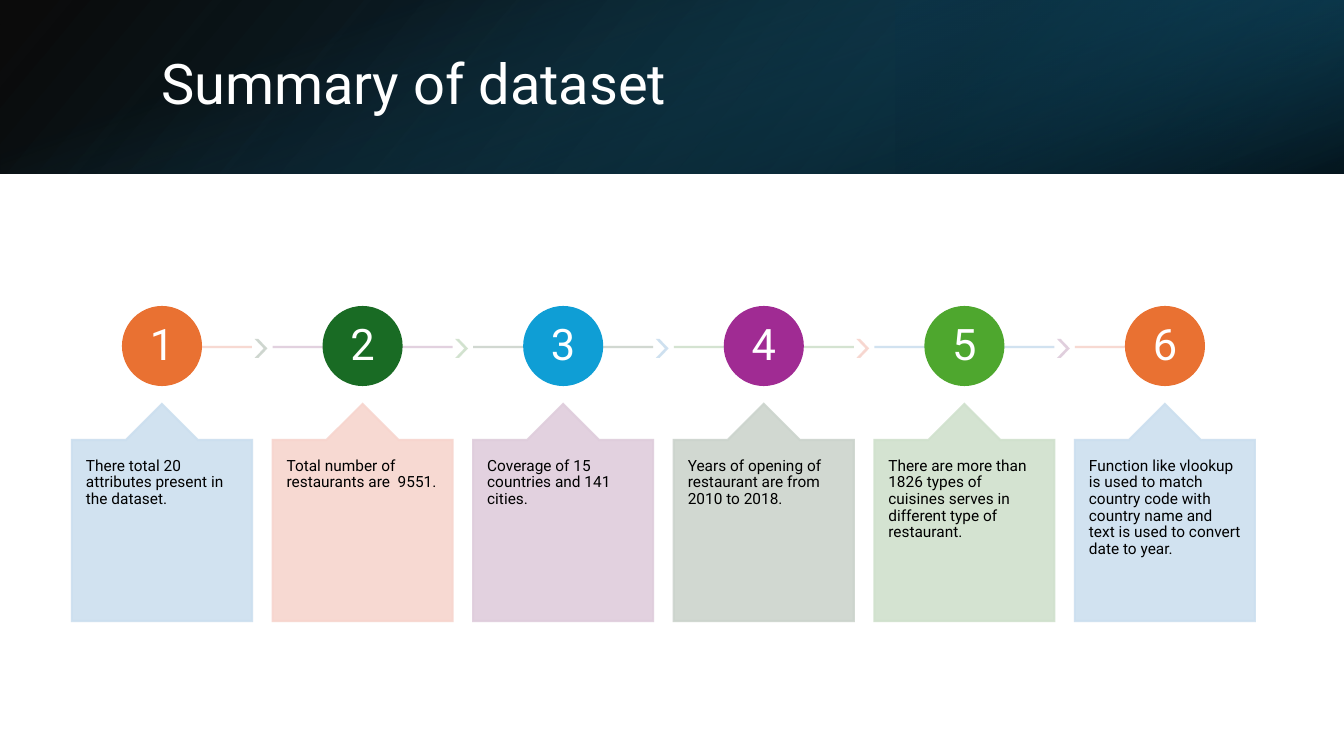
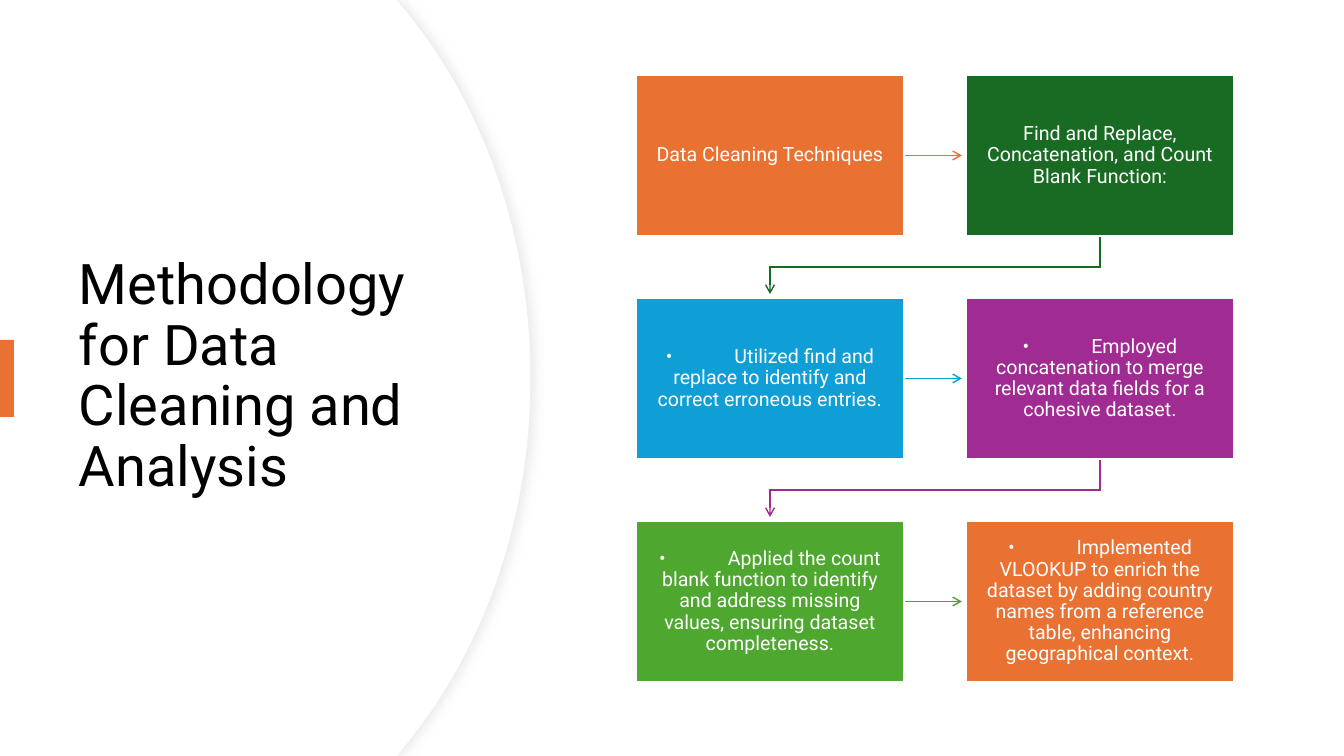
"""Build a two-slide deck: dataset summary and cleaning method."""
from itertools import cycle
from lxml import etree
from pptx import Presentation
from pptx.dml.color import RGBColor
from pptx.enum.shapes import MSO_CONNECTOR, MSO_SHAPE
from pptx.enum.text import MSO_ANCHOR, PP_ALIGN
from pptx.oxml.ns import qn
from pptx.util import Emu, Pt

RECT, OVAL = MSO_SHAPE.RECTANGLE, MSO_SHAPE.OVAL
CHEVRON, CALLOUT = MSO_SHAPE.CHEVRON, MSO_SHAPE.UP_ARROW_CALLOUT
LEFT, CENTER = PP_ALIGN.LEFT, PP_ALIGN.CENTER
TOP, MIDDLE = MSO_ANCHOR.TOP, MSO_ANCHOR.MIDDLE
STRAIGHT = MSO_CONNECTOR.STRAIGHT

WIDE, HIGH = 1344, 756
SCALE = 12192000 / WIDE
FONT = "Roboto"
TAB = Pt(49)
COLORS = {
    "white": "FFFFFF", "black": "000000", "navy": "104862",
    "deep": "0B3041", "teal": "156082", "edge": "EFEFEF", "shade": "D9D9D9",
    "orange": "E97132", "forest": "196B24", "sky": "0F9ED5",
    "plum": "A02B93", "leaf": "4EA72E",
    "pink": "F7D5CE", "mauve": "DFCDDC", "gray": "CCD4CD",
    "mint": "D0E1CD", "ice": "CCDFEF",
}
BRIGHT = ["orange", "forest", "sky", "plum", "leaf"]
TINTS = ["pink", "mauve", "gray", "mint", "ice"]

TITLES = ["Summary of dataset", "Methodology for Data Cleaning and Analysis"]
FACTS = [
    "There total 20 attributes present in the dataset.",
    "Total number of restaurants are  9551.",
    "Coverage of 15 countries and 141 cities.",
    "Years of opening of restaurant are from 2010 to 2018.",
    "There are more than 1826 types of cuisines serves in different type of restaurant.",
    "Function like vlookup is used to match country code with country name "
    "and text is used to convert date to year.",
]
STEPS = [
    "Data Cleaning Techniques",
    "Find and Replace, Concatenation, and Count Blank Function:",
    "•\tUtilized find and replace to identify and correct erroneous entries.",
    "•\tEmployed concatenation to merge relevant data fields for a cohesive dataset.",
    "•\tApplied the count blank function to identify and address missing values, "
    "ensuring dataset completeness.",
    "•\tImplemented VLOOKUP to enrich the dataset by adding country names from a "
    "reference table, enhancing geographical context.",
]
BAND = [
    {"box": (0, 0, 1344, 174), "turn": 0, "flip": True, "angle": 140,
     "stops": [(0, "black", 96), (1, "navy", 100)]},
    {"box": (896, 0, 448, 174), "turn": 180, "flip": True, "angle": 320,
     "stops": [(0.19, "deep", 68), (1, "teal", 79)]},
    {"box": (585, -585, 174, 1344), "turn": 90, "flip": False, "angle": 340,
     "stops": [(0.23, "teal", 0), (0.99, "black", 74)]},
]


def px(value):
    return Emu(round(value * SCALE))


def rgb(name):
    return RGBColor.from_string(COLORS[name])


def fade(shape, levels):
    tags = shape._element.spPr.iter(qn("a:srgbClr"))
    for tag, level in zip(list(tags), levels):
        etree.SubElement(tag, qn("a:alpha")).set("val", str(level * 1000))


def extend(shape, name, **values):
    line = shape._element.spPr.find(qn("a:ln"))
    etree.SubElement(line, qn(name), **values)


def paint(shape, fill=None, line=None, width=1.5):
    shape.shadow.inherit = False
    if fill:
        shape.fill.solid()
        shape.fill.fore_color.rgb = rgb(fill)
    else:
        shape.fill.background()
    if line:
        shape.line.color.rgb = rgb(line)
        shape.line.width = Pt(width)
        extend(shape, "a:miter", lim="800000")
    else:
        shape.line.fill.background()


def add(slide, kind, box, fill=None, line=None):
    shape = slide.shapes.add_shape(kind, *map(px, box))
    paint(shape, fill, line)
    return shape


def write(shape, text, size, color, align=CENTER, anchor=MIDDLE, pad=(10, 5)):
    frame = shape.text_frame
    frame.text = text
    frame.word_wrap = True
    frame.vertical_anchor = anchor
    frame.margin_left = frame.margin_right = px(pad[0])
    frame.margin_top = frame.margin_bottom = px(pad[1])
    para = frame.paragraphs[0]
    para.alignment = align
    para.line_spacing = 0.9
    para._p.get_or_add_pPr().set("defTabSz", str(TAB))
    for run in para.runs:
        run.font.size = Pt(size)
        run.font.name = FONT
        run.font.color.rgb = rgb(color)


def title(slide, text, box, color):
    write(slide.shapes.add_textbox(*map(px, box)), text, 40, color, LEFT)


def rule(slide, start, end, color, width):
    line = slide.shapes.add_connector(STRAIGHT, *map(px, start + end))
    line.line.color.rgb = rgb(color)
    line.line.width = Pt(width)
    etree.SubElement(line._element.spPr, qn("a:effectLst"))
    return line


def outline(slide, points, close):
    spots = [(px(x), px(y)) for x, y in points]
    form = slide.shapes.build_freeform(*spots[0], scale=1.0)
    form.add_line_segments(spots[1:], close=close)
    return form.convert_to_shape()


def head(shape):
    extend(shape, "a:tailEnd", type="arrow")


def band(slide):
    for part in BAND:
        shape = add(slide, RECT, part["box"])
        shape.rotation = part["turn"]
        if part["flip"]:
            shape._element.spPr.xfrm.set("flipH", "1")
        shape.fill.gradient()
        shape.fill.gradient_angle = 360 - part["angle"]
        for stop, (place, color, _) in zip(shape.fill.gradient_stops, part["stops"]):
            stop.position = place
            stop.color.rgb = rgb(color)
        fade(shape, [level for _, _, level in part["stops"]])


def summary(slide):
    band(slide)
    title(slide, TITLES[0], (151, 38, 1107, 97), "white")
    first, last, wide, size = 72, 1075, 180, 78
    end = len(FACTS) - 1
    for i, fact in enumerate(FACTS):
        left = first + (last - first) * i / end
        mid = left + wide / 2
        start = left if i else mid
        stop = left + wide if i < end else mid
        tint, bright = TINTS[i % 5], BRIGHT[i % 5]
        fade(rule(slide, (start, 347), (stop, 347), tint, 1.5), [90])
        if i < end:
            color = TINTS[(i + 2) % 5]
            mark = add(slide, CHEVRON, (left + 185, 340, 9, 17), color, color)
            mark.adjustments[0] = 0.9
            fade(mark, [90, 90])
        disc = add(slide, OVAL, (mid - size / 2, 307, size, size), bright, bright)
        write(disc, str(i + 1), 31, "white", pad=(3, 3))
        color = TINTS[(i - 1) % 5]
        card = add(slide, CALLOUT, (left, 404, wide, 217), color, color)
        for n, value in enumerate((0.5, 0.2, 0.2, 1)):
            card.adjustments[n] = value
        fade(card, [90, 90])
        write(card, fact, 11, "black", LEFT, TOP, (14, 18))


def bend(step, controls):
    step.tag = qn("a:cubicBezTo")
    for n, (x, y) in enumerate(controls):
        point = etree.Element(qn("a:pt"), x=str(px(x)), y=str(px(y)))
        step.insert(n, point)


def panel(slide, edge, line=None):
    near, far = edge - 127, edge - 48
    points = [(0, 0), (397, 0), (near, 8), (edge, 378),
              (near, HIGH - 8), (397, HIGH), (0, HIGH)]
    shape = outline(slide, points, True)
    steps = list(shape._element.spPr.iter(qn("a:lnTo")))
    bow = [(far, 103), (edge, 234)]
    bend(steps[2], bow)
    bend(steps[3], [(x, HIGH - y) for x, y in reversed(bow)])
    paint(shape, "white", line, 0.75)
    return shape


def shade(shape):
    effect = shape._element.spPr.find(qn("a:effectLst"))
    cast = etree.SubElement(effect, qn("a:outerShdw"), blurRad=str(Pt(7)),
                            dist=str(Pt(3)), dir="0", algn="l", rotWithShape="0")
    color = etree.SubElement(cast, qn("a:srgbClr"), val=COLORS["shade"])
    etree.SubElement(color, qn("a:alpha"), val="50000")


def method(slide):
    shade(panel(slide, 531, "edge"))
    panel(slide, 530)
    title(slide, TITLES[1], (69, 128, 397, 499), "black")
    add(slide, RECT, (0, 340, 14, 77), "orange")
    wide, high, across, down = 268, 161, 330, 223
    for i, (step, color) in enumerate(zip(STEPS, cycle(BRIGHT))):
        row, col = divmod(i, 2)
        left, top = 636 + across * col, 75 + down * row
        mid, base = left + wide / 2, top + high
        if col == 0:
            y = top + high / 2
            head(rule(slide, (left + wide, y), (left + across - 4, y), color, 1))
        elif i < len(STEPS) - 1:
            route = [(mid, base), (mid, base + 31),
                     (mid - across, base + 31), (mid - across, base + 58)]
            elbow = outline(slide, route, False)
            paint(elbow, None, color, 1)
            head(elbow)
        box = add(slide, RECT, (left, top, wide, high), color, "white")
        write(box, step, 14, "white", pad=(13, 14))


def main():
    deck = Presentation()
    deck.slide_width, deck.slide_height = px(WIDE), px(HIGH)
    for draw in (summary, method):
        draw(deck.slides.add_slide(deck.slide_layouts[6]))
    deck.save("out.pptx")


if __name__ == "__main__":
    main()
